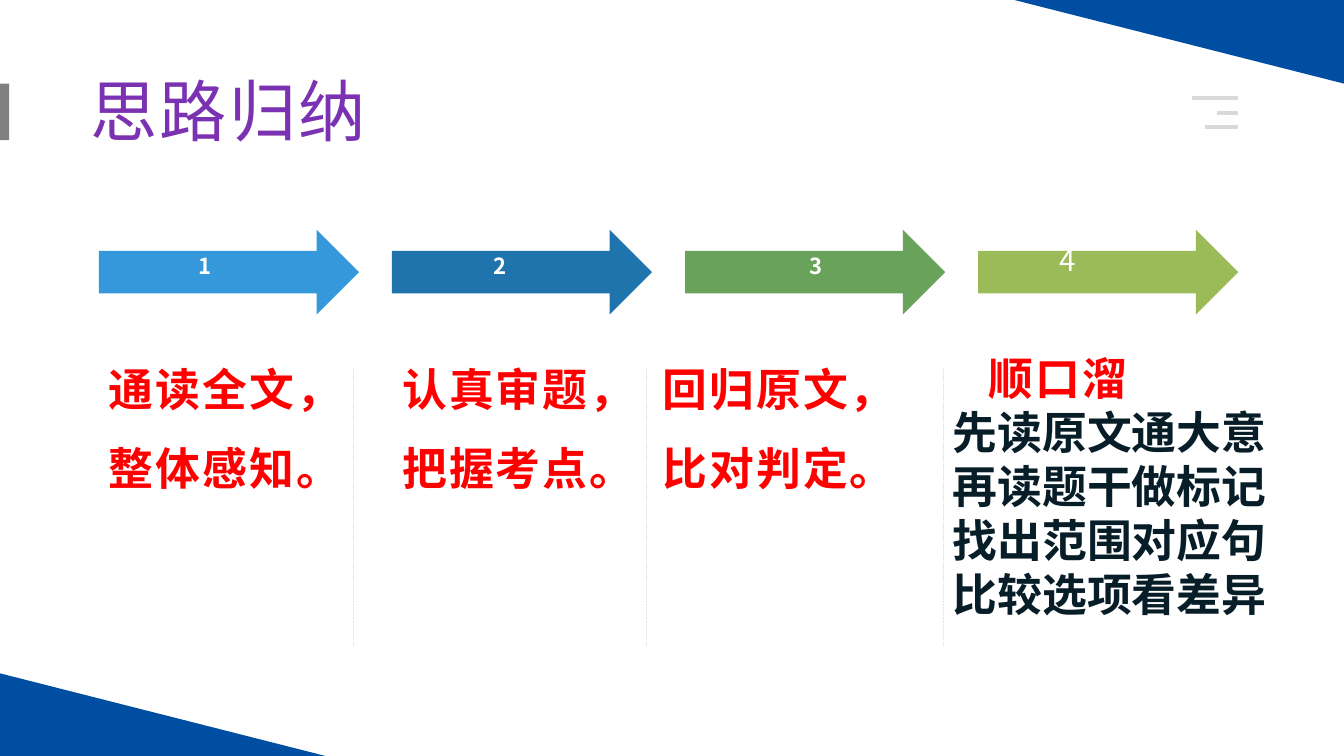
from dataclasses import dataclass

from lxml import etree
from pptx import Presentation
from pptx.dml.color import RGBColor
from pptx.enum import dml, shapes, text
from pptx.oxml import ns
from pptx.util import Inches, Pt


@dataclass(frozen=True)
class Theme:
    font: str = "Noto Sans CJK SC"
    corner: str = "004EA2"
    title: str = "7B32B2"
    bar: str = "808080"
    white: str = "FFFFFF"
    red: str = "FF0000"
    dark: str = "071D28"
    divider: str = "E7E6E6"
    menu: str = "D9D9D9"
    title_size: float = 48
    body_size: float = 32
    label_size: float = 15.8
    last_label_size: float = 21


T = Theme()
TITLE = "思路归纳"
STEPS = [
    {"color": "3498DB", "label_x": 1.21, "text": "通读全文，整体感知。", "box": (0.98, 2.19)},
    {"color": "1F74AD", "label_x": 4.14, "text": "认真审题，把握考点。", "box": (3.89, 2.22)},
    {"color": "69A35B", "label_x": 7.27, "text": "回归原文，比对判定。", "box": (6.47, 2.53)},
    {"color": "9BBB59", "label_x": 9.77, "text": None, "box": (9.35, 3.48)},
]
RHYME = ["顺口溜", "先读原文通大意", "再读题干做标记", "找出范围对应句", "比较选项看差异"]
CORNERS = [
    [(0, 6.68), (3.23, 7.5), (0, 7.5)],
    [(10.06, 0), (13.33, 0), (13.33, 0.83)],
]
DIVIDERS = [3.5, 6.41, 9.35]
MENU = [(11.82, 0.97), (12.07, 1.12), (11.95, 1.26)]
ARROW_X, ARROW_STEP, ARROW_Y, ARROW_W, ARROW_H = 0.98, 2.907, 2.28, 2.58, 0.84


def rgb(value):
    return RGBColor.from_string(value)


def paint(sp, color):
    sp.shadow.inherit = False
    sp.fill.solid()
    sp.fill.fore_color.rgb = rgb(color)
    sp.line.fill.background()


def add_shape(s, kind, x, y, w, h, color):
    sp = s.shapes.add_shape(kind, Inches(x), Inches(y), Inches(w), Inches(h))
    paint(sp, color)


def add_line(s, start, end, color, width):
    line = s.shapes.add_connector(
        shapes.MSO_CONNECTOR.STRAIGHT, *[Inches(v) for v in (*start, *end)]
    )
    line.line.color.rgb = rgb(color)
    line.line.width = Pt(width)
    etree.SubElement(line._element.spPr, ns.qn("a:effectLst"))
    return line


def style(p, size, color, bold=False, spacing=1.5):
    p._p.get_or_add_pPr().set("hangingPunct", "1")
    for r in p.runs:
        r.font.size = Pt(size)
        r.font.bold = bold
        r.font.name = T.font
        r.font.color.rgb = rgb(color)
        props = r._r.get_or_add_rPr()
        props.set("spc", str(round(spacing * 100)))
        latin = props.find(ns.qn("a:latin"))
        ea = etree.Element(ns.qn("a:ea"), typeface=T.font)
        latin.addnext(ea)


def add_text(s, x, y, w, h, lines, inset=0.05):
    tf = s.shapes.add_textbox(Inches(x), Inches(y), Inches(w), Inches(h)).text_frame
    tf.word_wrap = True
    tf.margin_top = Inches(inset)
    tf.text = "\n".join(lines)
    return tf.paragraphs


def add_title(s):
    sp = s.shapes.title
    sp.left, sp.top, sp.width, sp.height = [Inches(v) for v in (0.8, 0.69, 10.85, 0.97)]
    tf = sp.text_frame
    tf.text = TITLE
    tf.auto_size = text.MSO_AUTO_SIZE.NONE
    tf.vertical_anchor = text.MSO_ANCHOR.TOP
    tf.margin_top = tf.margin_bottom = 0
    p = tf.paragraphs[0]
    p.alignment = text.PP_ALIGN.LEFT
    style(p, T.title_size, T.title)


def add_step(s, index, step):
    last = step["text"] is None
    add_shape(s, shapes.MSO_SHAPE.RIGHT_ARROW, ARROW_X + index * ARROW_STEP,
              ARROW_Y, ARROW_W, ARROW_H, step["color"])
    label = add_text(s, step["label_x"], 2.35 if last else 2.46, 1.64, 0.4, [str(index + 1)])[0]
    label.alignment = text.PP_ALIGN.CENTER
    if last:
        style(label, T.last_label_size, T.white, spacing=0)
    else:
        style(label, T.label_size, T.white, bold=True)

    x, w = step["box"]
    if not last:
        p = add_text(s, x, 3.23, w, 2.58, [step["text"]], inset=0.11)[0]
        p.line_spacing = Pt(56.5)
        style(p, T.body_size, T.red, bold=True)
        return
    heading, *verses = add_text(s, x, 3.12, w, 3.64, RHYME, inset=0.36)
    heading._p.get_or_add_pPr().set("indent", str(Inches(0.36)))
    style(heading, T.body_size, T.red, bold=True)
    for p in verses:
        style(p, T.body_size, T.dark, bold=True, spacing=0)
    for p in (heading, *verses):
        p.line_spacing = Pt(38.5)


def main():
    prs = Presentation()
    prs.slide_width, prs.slide_height = Inches(13.33), Inches(7.5)
    s = prs.slides.add_slide(prs.slide_layouts[5])
    for first, *rest in CORNERS:
        outline = s.shapes.build_freeform(*[Inches(v) for v in first])
        outline.add_line_segments([(Inches(x), Inches(y)) for x, y in rest], close=True)
        paint(outline.convert_to_shape(), T.corner)
    add_title(s)
    add_shape(s, shapes.MSO_SHAPE.RECTANGLE, 0, 0.83, 0.09, 0.56, T.bar)
    for index, step in enumerate(STEPS):
        add_step(s, index, step)
    for x in DIVIDERS:
        divider = add_line(s, (x, 3.65), (x, 6.4), T.divider, 0.25)
        divider.line.dash_style = dml.MSO_LINE.SQUARE_DOT
    for x, y in MENU:
        add_line(s, (12.28, y), (x, y), T.menu, 3)
    prs.save("out.pptx")


if __name__ == "__main__":
    main()
